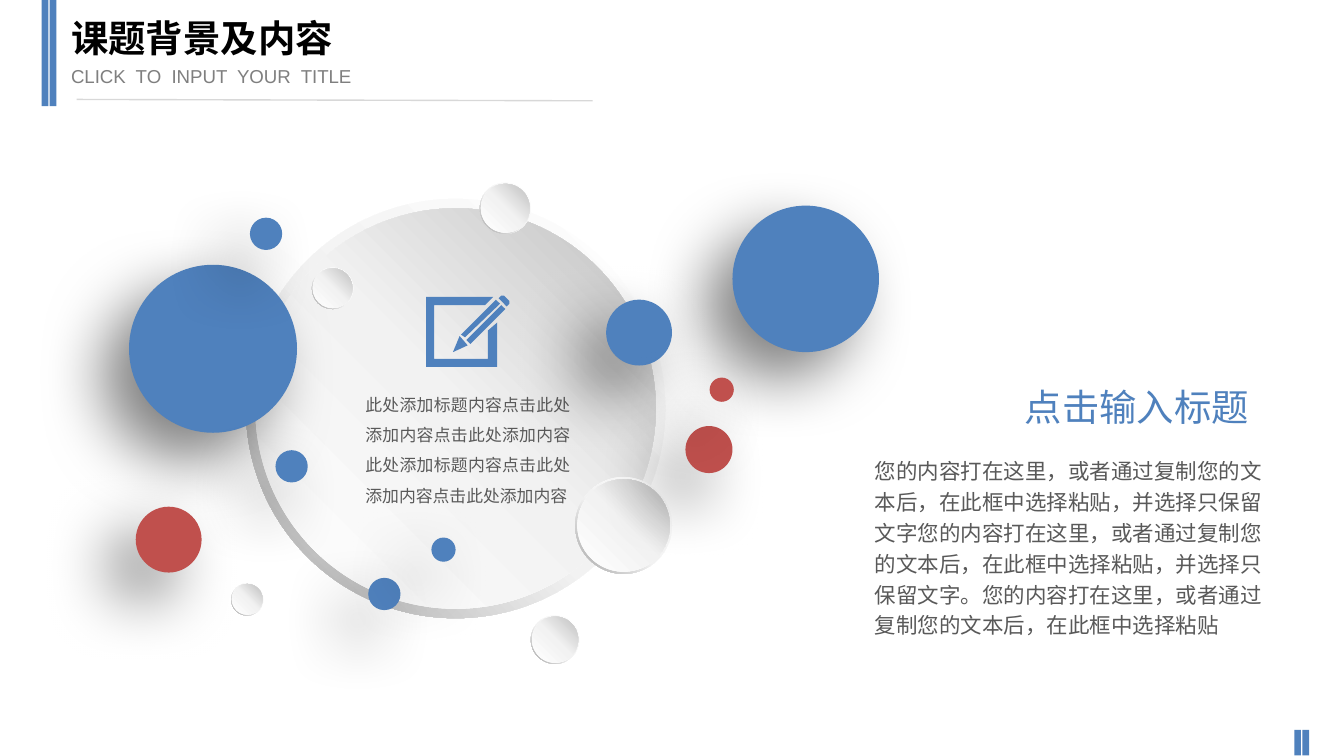
from lxml.etree import SubElement
from pptx import Presentation
from pptx.dml.color import RGBColor
from pptx.enum.shapes import MSO_CONNECTOR, MSO_SHAPE
from pptx.enum.text import MSO_ANCHOR, PP_ALIGN
from pptx.oxml import parse_xml
from pptx.oxml.ns import nsdecls, qn
from pptx.util import Inches, Pt

BLUE = RGBColor(0x4F, 0x81, 0xBD)
RED = RGBColor(0xC0, 0x50, 0x4D)
BLACK = RGBColor(0x00, 0x00, 0x00)
DARK_GRAY = RGBColor(0x59, 0x59, 0x59)
GRAY = RGBColor(0x7F, 0x7F, 0x7F)
RULE_GRAY = RGBColor(0xD8, 0xD8, 0xD8)
WHITE = RGBColor(0xFF, 0xFF, 0xFF)
PALE = RGBColor(0xF2, 0xF2, 0xF2)
SILVER = RGBColor(0xBF, 0xBF, 0xBF)
STEEL = RGBColor(0xA6, 0xA6, 0xA6)

CJK_FONT = "Noto Sans CJK SC"
LATIN_FONT = "Arial"
RIM = 0.0225

RIM_GRADIENT = {"stops": [(0, WHITE), (55, PALE), (100, STEEL)], "angle": 135}
FACE_GRADIENT = {"stops": [(0, WHITE), (51, PALE), (100, SILVER)], "angle": 315}

SPHERES = [
    (1.83, 1.48, 3.12),
    (4.28, 3.55, 0.72),
    (2.32, 1.99, 0.31),
    (3.95, 4.58, 0.36),
    (3.57, 1.36, 0.38),
    (1.72, 4.34, 0.24),
]
BALLS = [
    (5.45, 1.53, 1.09, BLUE),
    (0.96, 1.97, 1.25, BLUE),
    (1.01, 3.77, 0.49, RED),
    (2.05, 3.35, 0.24, BLUE),
    (1.86, 1.62, 0.24, BLUE),
    (2.74, 4.30, 0.24, BLUE),
    (3.21, 4.00, 0.18, BLUE),
    (4.51, 2.23, 0.49, BLUE),
    (5.10, 3.17, 0.35, RED),
    (5.28, 2.81, 0.18, RED),
]
PENCIL_OUTLINES = [
    [(31, 38), (25, 31), (20, 43)],
    [(52, 4), (26, 30), (29, 32), (55, 7)],
    [(30, 34), (33, 37), (59, 11), (56, 8)],
    [(60, 3), (58, 1), (56, 1), (54, 3), (60, 9), (62, 7), (62, 5)],
    [(46, 48), (6, 48), (6, 8), (44, 8), (50, 2), (0, 2),
     (0, 54), (53, 54), (53, 21), (46, 27)],
]


def paint(shape, color):
    shape.shadow.inherit = False
    shape.line.fill.background()
    shape.fill.solid()
    shape.fill.fore_color.rgb = color


def paint_gradient(shape, stops, angle):
    paint(shape, WHITE)
    marks = "".join(
        f'<a:gs pos="{position * 1000}"><a:srgbClr val="{color}"/></a:gs>'
        for position, color in stops
    )
    gradient = parse_xml(
        f'<a:gradFill {nsdecls("a")} rotWithShape="1"><a:gsLst>{marks}</a:gsLst>'
        f'<a:lin ang="{angle * 60000}" scaled="0"/></a:gradFill>'
    )
    properties = shape._element.spPr
    properties.replace(properties.find(qn("a:solidFill")), gradient)


def cast_shadow(shape):
    effects = shape._element.spPr.find(qn("a:effectLst"))
    effects.append(parse_xml(
        f'<a:outerShdw {nsdecls("a")} blurRad="{Pt(35)}" dist="{Pt(20)}" '
        f'dir="{135 * 60000}" algn="tr" rotWithShape="0">'
        '<a:srgbClr val="000000"><a:alpha val="50000"/></a:srgbClr></a:outerShdw>'
    ))


def add_circle(shapes, preset, left, top, size):
    return shapes.add_shape(preset, Inches(left), Inches(top), Inches(size), Inches(size))


def write_text(shape, box, text, font, paragraph_format=None, insets=(0.1, 0.05)):
    for name, value in zip(("left", "top", "width", "height"), box):
        setattr(shape, name, Inches(value))
    frame = shape.text_frame
    frame.word_wrap = True
    frame.vertical_anchor = MSO_ANCHOR.TOP
    frame.margin_left = frame.margin_right = Inches(insets[0])
    frame.margin_top = frame.margin_bottom = Inches(insets[1])
    paragraph = frame.paragraphs[0]
    for name, value in {"alignment": PP_ALIGN.LEFT, **(paragraph_format or {})}.items():
        setattr(paragraph, name, value)
    run = paragraph.add_run()
    run.text = text
    run.font.color.rgb = font["color"]
    for name in font.keys() - {"color"}:
        setattr(run.font, name, font[name])
    SubElement(run.font._element, qn("a:ea")).set("typeface", CJK_FONT)


def add_text(slide, box, *content, **options):
    textbox = slide.shapes.add_textbox(0, 0, 0, 0)
    write_text(textbox, box, *content, **options)


def add_bars(slide, left, top, height):
    group = slide.shapes.add_group_shape()
    for offset in (0, 0.06):
        bar = group.shapes.add_shape(
            MSO_SHAPE.RECTANGLE, Inches(left + offset), Inches(top), Inches(0.05), Inches(height)
        )
        paint(bar, BLUE)


def add_header(slide, left, top):
    add_bars(slide, left, top, 0.79)
    rule = slide.shapes.add_connector(
        MSO_CONNECTOR.STRAIGHT,
        Inches(left + 0.26), Inches(top + 0.74), Inches(left + 4.1), Inches(top + 0.75),
    )
    rule.line.color.rgb = RULE_GRAY
    rule.line.width = Pt(0.75)
    SubElement(rule._element.spPr, qn("a:effectLst"))
    write_text(
        slide.shapes.title, (left + 0.12, top + 0.06, 4.04, 0.5), "课题背景及内容",
        {"name": LATIN_FONT, "size": Pt(20), "bold": True, "color": BLACK},
    )
    add_text(
        slide, (left + 0.12, top + 0.43, 3.15, 0.27), "CLICK  TO  INPUT  YOUR  TITLE",
        {"name": LATIN_FONT, "size": Pt(10), "color": GRAY},
    )


def add_sphere(slide, left, top, size):
    shapes = slide.shapes.add_group_shape().shapes
    rim = add_circle(shapes, MSO_SHAPE.DONUT, left, top, size)
    rim.adjustments[0] = 0.049
    paint_gradient(rim, **RIM_GRADIENT)
    inset = size * RIM
    face = add_circle(shapes, MSO_SHAPE.OVAL, left + inset, top + inset, size - 2 * inset)
    paint_gradient(face, **FACE_GRADIENT)


def add_ball(slide, left, top, size, color):
    shapes = slide.shapes.add_group_shape().shapes
    inset = size * RIM
    base = add_circle(shapes, MSO_SHAPE.OVAL, left, top, size)
    face = add_circle(shapes, MSO_SHAPE.OVAL, left + inset, top + inset, size - 2 * inset)
    for circle in (base, face):
        paint(circle, color)
    cast_shadow(base)


def add_pencil_icon(slide, left, top):
    group = slide.shapes.add_group_shape()
    for start, *others in PENCIL_OUTLINES:
        builder = group.shapes.build_freeform(*start, scale=Inches(0.01))
        builder.add_line_segments(others, close=True)
        paint(builder.convert_to_shape(Inches(left), Inches(top)), BLUE)


def add_center_note(slide, left, top):
    add_pencil_icon(slide, left + 0.55, top)
    add_text(
        slide, (left, top + 0.62, 1.72, 1.01),
        "此处添加标题内容点击此处添加内容点击此处添加内容此处添加标题内容点击此处添加内容点击此处添加内容",
        {"name": CJK_FONT, "size": Pt(9), "color": DARK_GRAY},
        {"alignment": PP_ALIGN.JUSTIFY, "line_spacing": 1.5},
    )


def add_description(slide, left, top):
    add_text(
        slide, (left + 0.52, top, 3, 0.44), "点击输入标题",
        {"name": CJK_FONT, "size": Pt(20), "color": BLUE},
        {"alignment": PP_ALIGN.CENTER},
    )
    add_text(
        slide, (left, top + 0.52, 3.06, 1.47),
        "您的内容打在这里，或者通过复制您的文本后，在此框中选择粘贴，并选择只保留文字"
        "您的内容打在这里，或者通过复制您的文本后，在此框中选择粘贴，并选择只保留文字。"
        "您的内容打在这里，或者通过复制您的文本后，在此框中选择粘贴",
        {"name": CJK_FONT, "size": Pt(11.5), "color": DARK_GRAY},
        {"line_spacing": 1.2},
        insets=(0.07, 0.04),
    )


def main():
    presentation = Presentation()
    presentation.slide_width = Inches(10)
    presentation.slide_height = presentation.slide_width * 9 // 16
    slide = presentation.slides.add_slide(presentation.slide_layouts[5])
    add_header(slide, 0.31, 0)
    add_bars(slide, 9.63, 5.43, 0.19)
    for sphere in SPHERES:
        add_sphere(slide, *sphere)
    add_center_note(slide, 2.62, 2.19)
    add_description(slide, 6.44, 2.81)
    for ball in BALLS:
        add_ball(slide, *ball)
    presentation.save("out.pptx")


if __name__ == "__main__":
    main()
